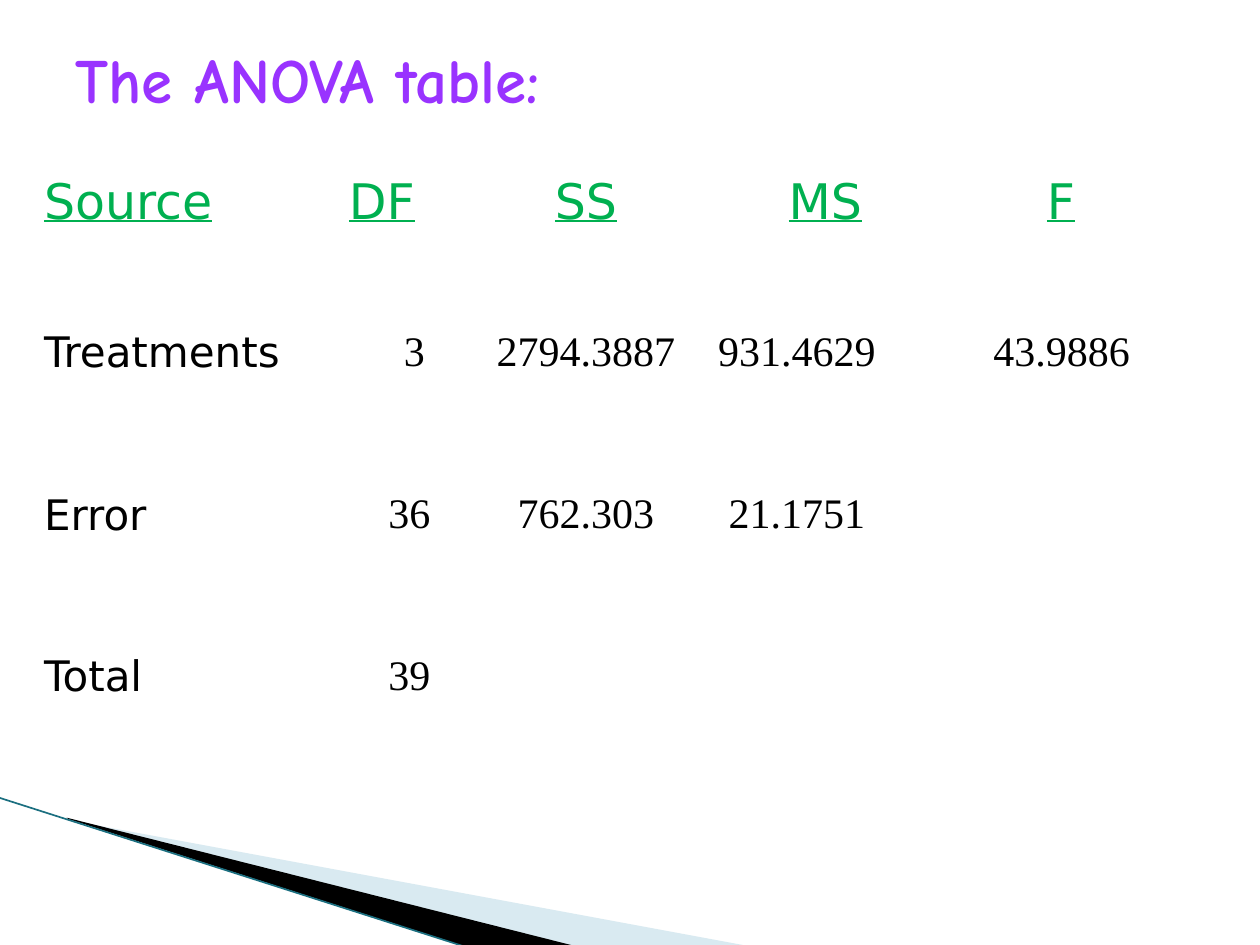
from dataclasses import dataclass

import pptx
import pptx.dml.color
import pptx.enum.shapes
import pptx.enum.text
import pptx.oxml.ns
import pptx.util
from lxml import etree

Inches = pptx.util.Inches
Pt = pptx.util.Pt
RGB = pptx.dml.color.RGBColor.from_string
qn = pptx.oxml.ns.qn
ALIGN = pptx.enum.text.PP_ALIGN
ANCHOR = pptx.enum.text.MSO_ANCHOR


@dataclass(frozen=True)
class Theme:
    title: str = "9933FF"
    header: str = "00B050"
    body: str = "000000"
    pale_wedge: str = "A0CBDC"
    dark_wedge: str = "000000"
    edge: str = "1B6F80"
    title_font: str = "Comic Neue"
    label_font: str = "DejaVu Sans"
    number_font: str = "Times New Roman"
    title_size: int = 36
    header_size: int = 28
    body_size: int = 24


@dataclass(frozen=True)
class Wedge:
    points: tuple[tuple[float, float], ...]
    color: str
    opacity: int = 100


@dataclass(frozen=True)
class Entry:
    text: str
    centered: bool = True
    indent: float = 0


THEME = Theme()
WEDGES = (
    Wedge(((0.55, 6.51), (5.95, 7.51), (4.56, 7.51), (0.55, 6.5)), THEME.pale_wedge, 40),
    Wedge(((0.53, 6.49), (4.57, 7.51), (3.72, 7.52), (0.54, 6.5)), THEME.dark_wedge),
)
COLUMNS = (2.42, 1.08, 1.8, 1.55, 2.65)
ROWS = (1.23, 1.29, 1.28, 1.28)
ENTRIES = (
    (Entry("Source", False), Entry("DF", False), Entry("SS"),
     Entry("MS", False, 0.61), Entry("F", False, 1.11)),
    (Entry("Treatments", False), Entry("3", indent=0.16), Entry("2794.3887"),
     Entry("931.4629"), Entry("43.9886")),
    (Entry("Error", False), Entry("36", indent=0.08), Entry("762.303"), Entry("21.1751")),
    (Entry("Total", False), Entry("39", indent=0.08)),
)
NO_STYLE = "{2D5ABB26-0587-4C30-8999-92F81FD0307C}"


def add_run(p, text: str, font: str, size: int, color: str):
    r = p.add_run()
    r.text = text
    r.font.name = font
    r.font.size = Pt(size)
    r.font.color.rgb = RGB(color)
    return r


def draw_wedge(s, wedge: Wedge) -> None:
    start, *rest = [(Inches(x), Inches(y)) for x, y in wedge.points]
    builder = s.shapes.build_freeform(*start)
    builder.add_line_segments(rest, close=True)
    sp = builder.convert_to_shape()
    sp.shadow.inherit = False
    sp.line.fill.background()
    sp.fill.solid()
    sp.fill.fore_color.rgb = RGB(wedge.color)
    if wedge.opacity < 100:
        color = sp._element.spPr.find(qn("a:solidFill"))[0]
        etree.SubElement(color, qn("a:alpha"), val=str(wedge.opacity * 1000))


def draw_edge(s) -> None:
    line = s.shapes.add_connector(
        pptx.enum.shapes.MSO_CONNECTOR.STRAIGHT,
        Inches(-0.01), Inches(6.33), Inches(3.71), Inches(7.52))
    line.line.color.rgb = RGB(THEME.edge)
    line.line.width = Pt(0.95)
    etree.SubElement(line._element.spPr, qn("a:effectLst"))


def draw_title(s) -> None:
    box = s.shapes.add_textbox(Inches(0.5), Inches(0), Inches(9), Inches(1.25))
    tf = box.text_frame
    tf.word_wrap = True
    tf.vertical_anchor = ANCHOR.MIDDLE
    r = add_run(tf.paragraphs[0], "The ANOVA table:",
                THEME.title_font, THEME.title_size, THEME.title)
    r.font.bold = True


def fill_cell(cell, entry: Entry, is_header: bool, is_label: bool) -> None:
    cell.margin_left = Inches(0.1 + entry.indent)
    p = cell.text_frame.paragraphs[0]
    p.alignment = ALIGN.CENTER if entry.centered else ALIGN.LEFT
    font = THEME.label_font if is_header or is_label else THEME.number_font
    size = THEME.header_size if is_header else THEME.body_size
    color = THEME.header if is_header else THEME.body
    r = add_run(p, entry.text, font, size, color)
    r.font.underline = is_header


def draw_table(s) -> None:
    frame = s.shapes.add_table(
        len(ROWS), len(COLUMNS), Inches(0.25), Inches(1.33),
        Inches(sum(COLUMNS)), Inches(sum(ROWS)))
    table = frame.table
    table.first_row = False
    table.horz_banding = False
    table._tbl.tblPr.find(qn("a:tableStyleId")).text = NO_STYLE
    for column, width in zip(table.columns, COLUMNS):
        column.width = Inches(width)
    for row, height in zip(table.rows, ROWS):
        row.height = Inches(height)
    for cell in table.iter_cells():
        cell.fill.background()
    for i, entries in enumerate(ENTRIES):
        for j, entry in enumerate(entries):
            fill_cell(table.cell(i, j), entry, i == 0, j == 0)


def main() -> None:
    prs = pptx.Presentation()
    prs.slide_width = Inches(10)
    prs.slide_height = Inches(7.5)
    s = prs.slides.add_slide(prs.slide_layouts[6])
    for wedge in WEDGES:
        draw_wedge(s, wedge)
    draw_edge(s)
    draw_title(s)
    draw_table(s)
    prs.save("out.pptx")


main()
